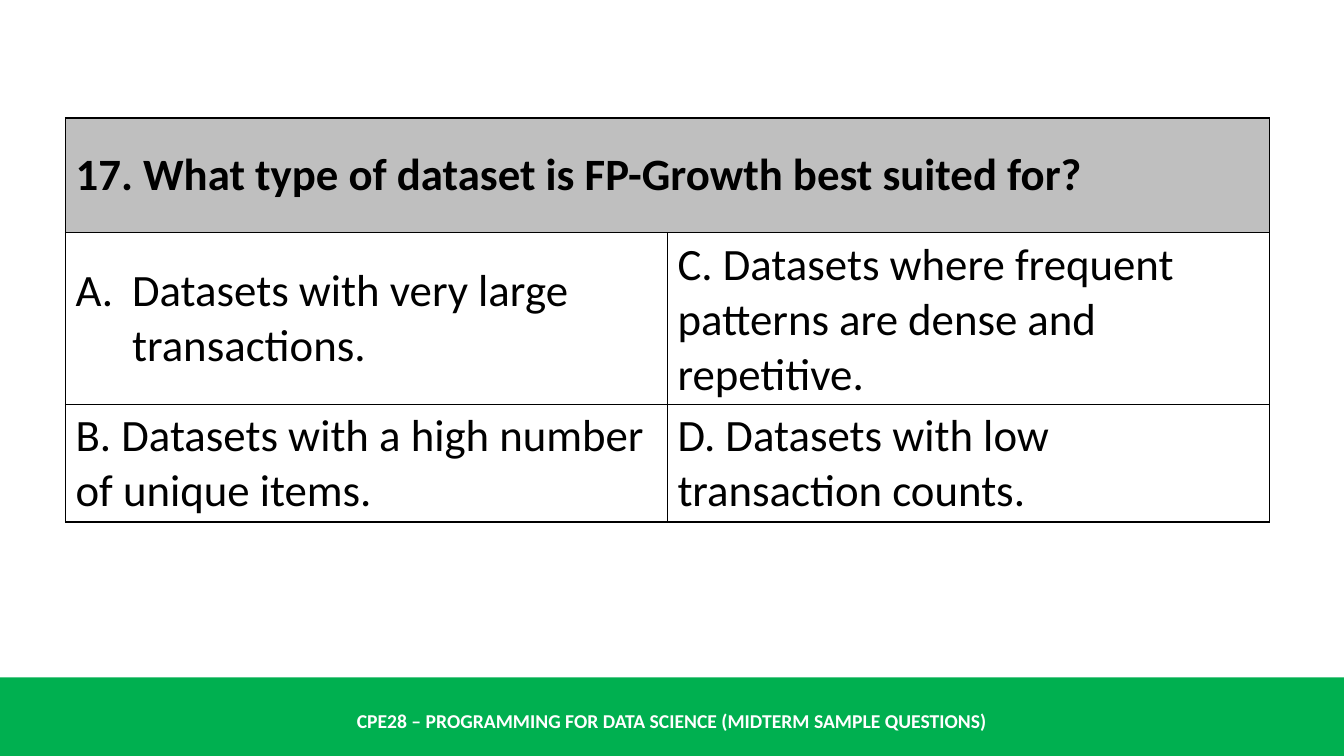
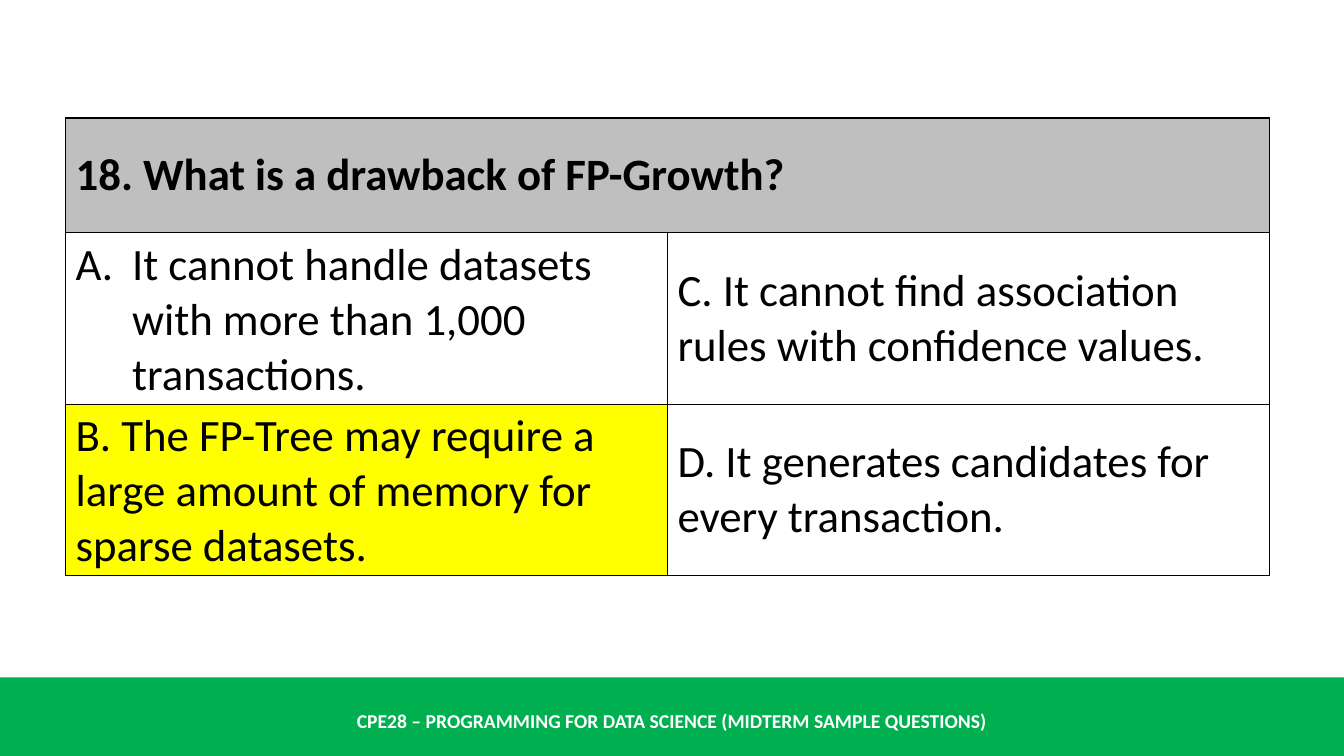
from dataclasses import dataclass

import lxml.etree
import pptx
import pptx.dml.color
import pptx.enum.shapes
import pptx.enum.text
import pptx.oxml.ns
import pptx.util

Inches = pptx.util.Inches
Pt = pptx.util.Pt
qn = pptx.oxml.ns.qn


@dataclass(frozen=True)
class Theme:
    font: str = "Calibri"
    table_size: int = 32
    footer_size: int = 14
    ink: str = "000000"
    paper: str = "FFFFFF"
    band: str = "00B050"
    question: str = "BFBFBF"
    answer: str = "FFFF00"


THEME = Theme()
PAGE_WIDTH, PAGE_HEIGHT = 13.33, 7.5
BAND_TOP = 6.72
TABLE_LEFT, TABLE_TOP, TABLE_WIDTH = 0.65, 1.17, 11.94
ROW_HEIGHT = 1.14
LETTER_INDENT = 0.56
FOOTER = "CPE28 – PROGRAMMING FOR DATA SCIENCE (MIDTERM SAMPLE QUESTIONS)"

QUIZ = [
    {
        "question": "17. What type of dataset is FP-Growth best suited for?",
        "choices": [
            ["Datasets with very large transactions.",
             "C. Datasets where frequent patterns are dense and repetitive."],
            ["B. Datasets with a high number of unique items.",
             "D. Datasets with low transaction counts."],
        ],
        "answer": None,
    },
    {
        "question": "18. What is a drawback of FP-Growth?",
        "choices": [
            ["It cannot handle datasets with more than 1,000 transactions.",
             "C. It cannot find association rules with confidence values."],
            ["B. The FP-Tree may require a large amount of memory for sparse datasets.",
             "D. It generates candidates for every transaction."],
        ],
        "answer": (2, 0),
    },
]


def rgb(value):
    return pptx.dml.color.RGBColor.from_string(value)


def style_font(para, size, color, bold):
    para.font.name = THEME.font
    para.font.size = Pt(size)
    para.font.bold = bold
    para.font.color.rgb = rgb(color)


def add_footer(page):
    band = page.shapes.add_shape(
        pptx.enum.shapes.MSO_SHAPE.RECTANGLE, 0, Inches(BAND_TOP),
        Inches(PAGE_WIDTH), Inches(PAGE_HEIGHT - BAND_TOP))
    band.shadow.inherit = False
    band.fill.solid()
    band.fill.fore_color.rgb = rgb(THEME.band)
    band.line.fill.background()

    box = page.shapes.add_textbox(0, Inches(6.95), Inches(PAGE_WIDTH), Inches(0.4))
    frame = box.text_frame
    frame.word_wrap = True
    frame.vertical_anchor = pptx.enum.text.MSO_ANCHOR.MIDDLE
    para = frame.paragraphs[0]
    para.text = FOOTER
    para.alignment = pptx.enum.text.PP_ALIGN.CENTER
    style_font(para, THEME.footer_size, THEME.paper, True)


def set_borders(cell):
    properties = cell._tc.get_or_add_tcPr()
    for position, side in enumerate(("a:lnL", "a:lnR", "a:lnT", "a:lnB")):
        line = lxml.etree.Element(qn(side), w=str(int(Pt(1))))
        fill = lxml.etree.SubElement(line, qn("a:solidFill"))
        lxml.etree.SubElement(fill, qn("a:srgbClr"), val=THEME.ink)
        properties.insert(position, line)


def number_with_letter(para):
    indent = int(Inches(LETTER_INDENT))
    properties = para._p.get_or_add_pPr()
    properties.set("marL", str(indent))
    properties.set("indent", str(-indent))
    lxml.etree.SubElement(properties, qn("a:buAutoNum"), type="alphaUcPeriod")


def fill_cell(cell, text, fill=None, bold=False, lettered=False):
    cell.vertical_anchor = pptx.enum.text.MSO_ANCHOR.MIDDLE
    para = cell.text_frame.paragraphs[0]
    para.text = text
    if lettered:
        number_with_letter(para)
    style_font(para, THEME.table_size, THEME.ink, bold)
    if fill:
        cell.fill.solid()
        cell.fill.fore_color.rgb = rgb(fill)
    else:
        cell.fill.background()


def add_question_table(page, question, choices, answer):
    row_count = len(choices) + 1
    table = page.shapes.add_table(
        row_count, 2, Inches(TABLE_LEFT), Inches(TABLE_TOP),
        Inches(TABLE_WIDTH), Inches(ROW_HEIGHT * row_count)).table
    table.first_row = False
    table.horz_banding = False
    table.cell(0, 0).merge(table.cell(0, 1))
    fill_cell(table.cell(0, 0), question, THEME.question, bold=True)
    for row, texts in enumerate(choices, start=1):
        for column, text in enumerate(texts):
            place = (row, column)
            fill = THEME.answer if place == answer else None
            fill_cell(table.cell(*place), text, fill, lettered=place == (1, 0))
    for cell in table.iter_cells():
        set_borders(cell)


def main():
    deck = pptx.Presentation()
    deck.slide_width = Inches(PAGE_WIDTH)
    deck.slide_height = Inches(PAGE_HEIGHT)
    for item in QUIZ:
        page = deck.slides.add_slide(deck.slide_layouts[6])
        add_footer(page)
        add_question_table(page, **item)
    deck.save("out.pptx")


if __name__ == "__main__":
    main()
